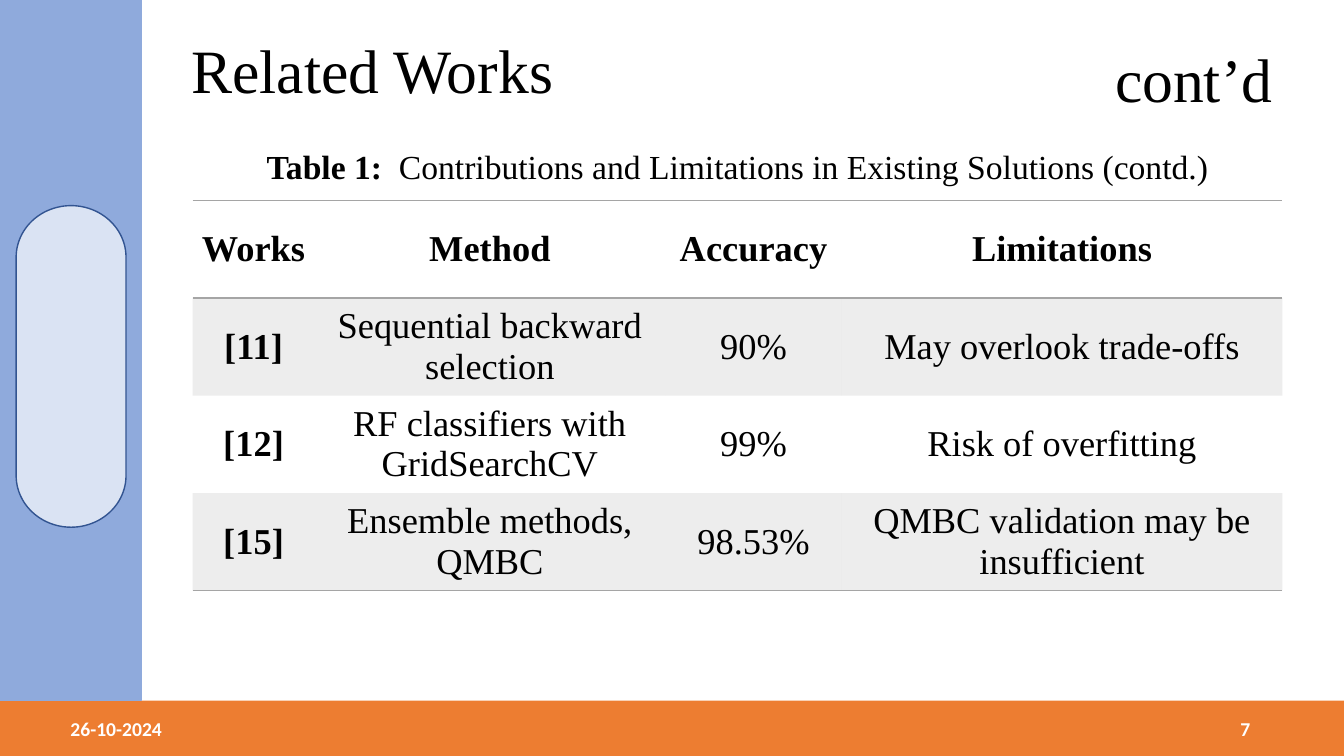
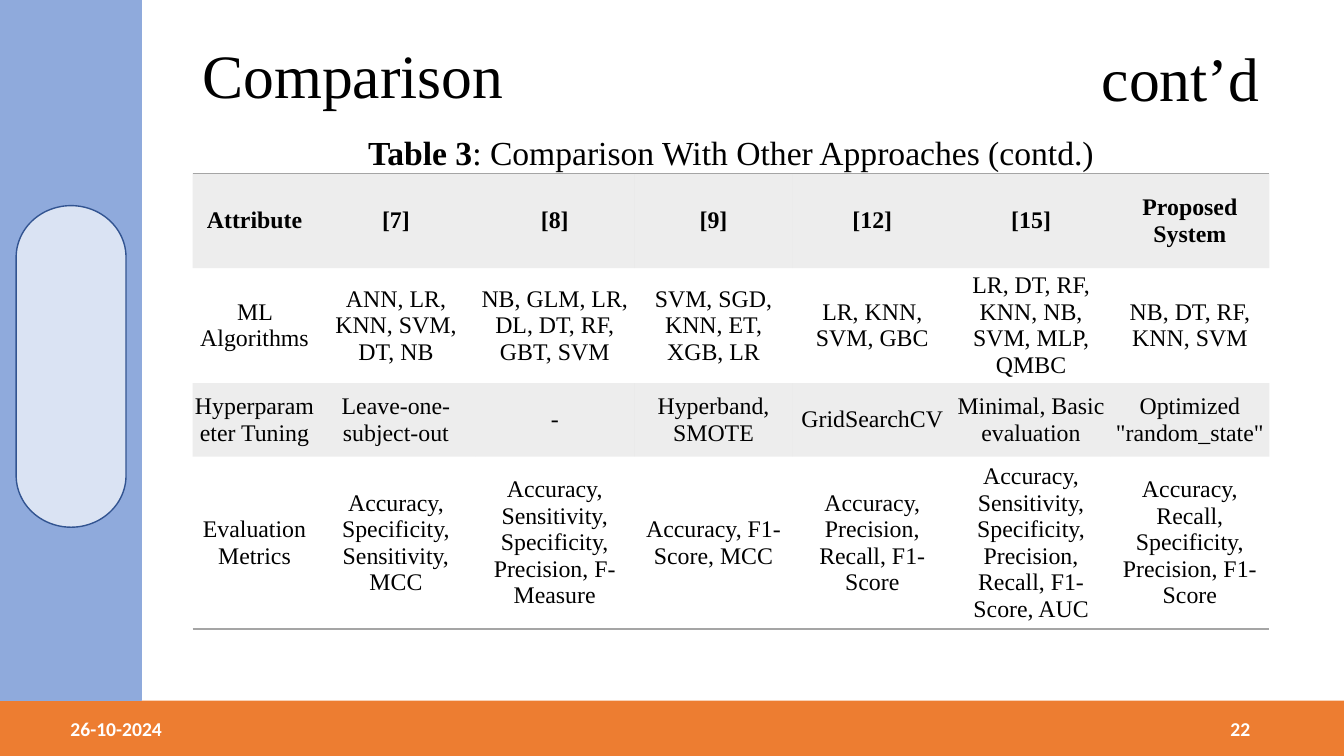
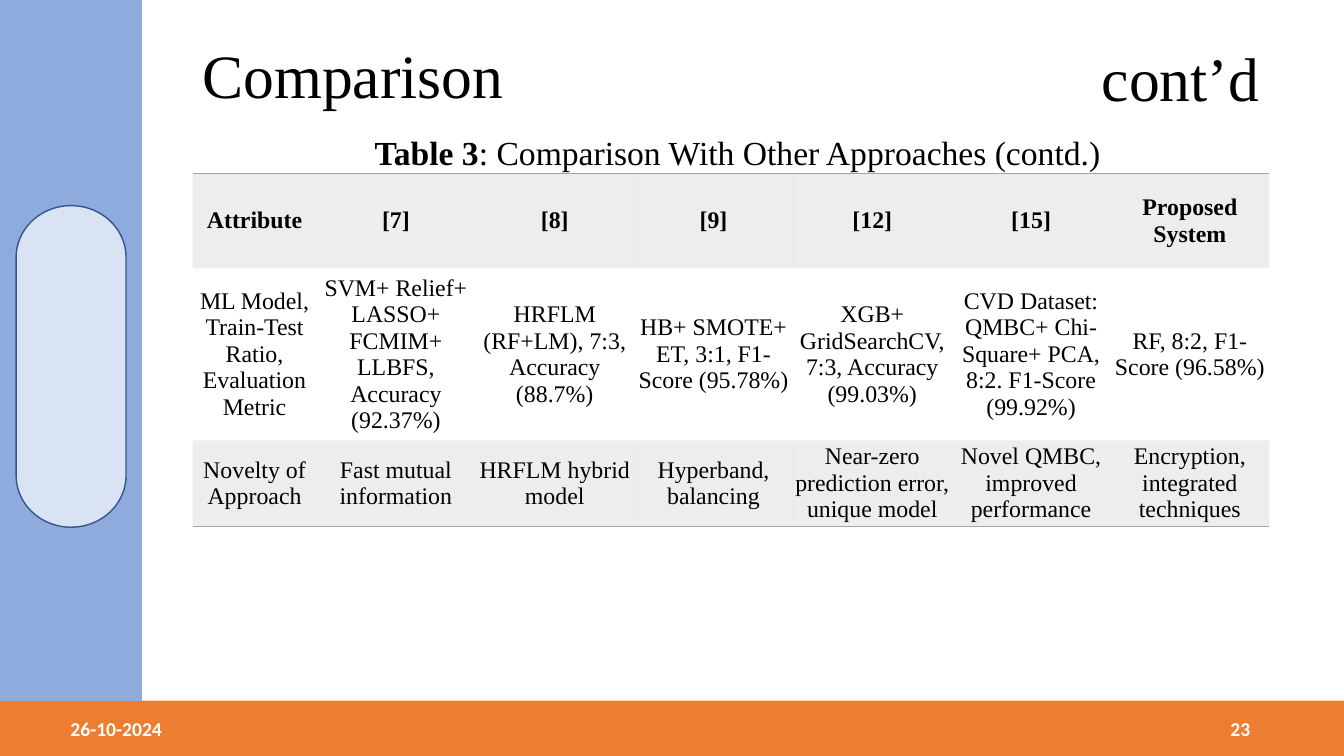
from lxml.etree import SubElement
from pptx import Presentation
from pptx.dml.color import RGBColor
from pptx.enum.shapes import MSO_SHAPE
from pptx.enum.text import MSO_ANCHOR, MSO_AUTO_SIZE, PP_ALIGN
from pptx.oxml.ns import qn
from pptx.util import Inches, Pt

# Shared style
WIDTH, HEIGHT = 13.33, 7.5
FOOTER_TOP, SIDEBAR = 6.95, 1.4
LEFT = 1.91
SERIF, SANS = "Times New Roman", "Calibri"
BLACK, WHITE, GREY = "000000", "FFFFFF", "A5A5A5"
ORANGE, BLUE, PALE_BLUE, DARK_BLUE = "ED7D31", "8FAADC", "DAE3F3", "325491"
DATE = "26-10-2024"
NO_MARGINS = (0, 0)

# Content shared by the two comparison slides
COMPARISON = {
    "title": "Comparison", "title_at": (LEFT, 0.05, 9.32, 1.45),
    "continued_at": (9.61, 0.35, 2.98, 0.84),
    "caption": ("Table 3", ": Comparison With Other Approaches (contd.)"),
    "table_top": 1.72, "columns": [1.23] + [1.575] * 6,
    "size": 17, "bold_column": False, "first_band": 0, "header_line": False,
    "header_margins": NO_MARGINS, "body_margins": NO_MARGINS,
}
COMPARISON_HEADER = ["Attribute", "[7]", "[8]", "[9]", "[12]", "[15]", "Proposed System"]

SLIDES = [
    {
        "number": 7,
        "title": "Related Works", "title_at": (1.8, 0, 5.51, 1.45),
        "continued_at": (9.74, 0.36, 2.98, 0.84),
        "caption": ("Table 1: ", " Contributions and Limitations in Existing Solutions (contd.)"),
        "caption_at": (LEFT, 1.2, 10.81, 0.63),
        "table_top": 1.99, "columns": [1.21, 3.48, 1.75, 4.37], "heights": [0.967] * 4,
        "size": 26, "bold_column": True, "first_band": 1, "header_line": True,
        "header_margins": (0.07, 0), "body_margins": (0.1, 0.05),
        "rows": [
            ["Works", "Method", "Accuracy", "Limitations"],
            ["[11]", "Sequential backward selection", "90%", "May overlook trade-offs"],
            ["[12]", "RF classifiers with GridSearchCV", "99%", "Risk of overfitting"],
            ["[15]", "Ensemble methods, QMBC", "98.53%",
             "QMBC validation may be insufficient"],
        ],
    },
    {
        **COMPARISON,
        "number": 22,
        "caption_at": (LEFT, 1.06, 10.68, 0.63),
        "heights": [0.94, 1.14, 0.73, 1.71],
        "rows": [
            COMPARISON_HEADER,
            ["ML Algorithms", "ANN, LR, KNN, SVM, DT, NB", "NB, GLM, LR, DL, DT, RF, GBT, SVM",
             "SVM, SGD, KNN, ET, XGB, LR", "LR, KNN, SVM, GBC",
             "LR, DT, RF, KNN, NB, SVM, MLP, QMBC", "NB, DT, RF, KNN, SVM"],
            ["Hyperparameter Tuning", "Leave-one-subject-out", "-", "Hyperband, SMOTE",
             "GridSearchCV", "Minimal, Basic evaluation", 'Optimized "random_state"'],
            ["Evaluation Metrics", "Accuracy, Specificity, Sensitivity, MCC",
             "Accuracy, Sensitivity, Specificity, Precision, F-Measure",
             "Accuracy, F1-Score, MCC", "Accuracy, Precision, Recall, F1-Score",
             "Accuracy, Sensitivity, Specificity, Precision, Recall, F1-Score, AUC",
             "Accuracy, Recall, Specificity, Precision, F1-Score"],
        ],
    },
    {
        **COMPARISON,
        "number": 23,
        "caption_at": (LEFT, 1.06, 10.81, 0.63),
        "heights": [0.94, 1.71, 0.85],
        "rows": [
            COMPARISON_HEADER,
            ["ML Model, Train-Test Ratio, Evaluation Metric",
             "SVM+ Relief+ LASSO+ FCMIM+ LLBFS, Accuracy (92.37%)",
             "HRFLM (RF+LM), 7:3, Accuracy (88.7%)", "HB+ SMOTE+ ET, 3:1, F1-Score (95.78%)",
             "XGB+ GridSearchCV, 7:3, Accuracy (99.03%)",
             "CVD Dataset: QMBC+ Chi-Square+ PCA, 8:2. F1-Score (99.92%)",
             "RF, 8:2, F1-Score (96.58%)"],
            ["Novelty of Approach", "Fast mutual information", "HRFLM hybrid model",
             "Hyperband, balancing", "Near-zero prediction error, unique model",
             "Novel QMBC, improved performance", "Encryption, integrated techniques"],
        ],
    },
]


def color(value):
    return RGBColor.from_string(value)


def place(at):
    return [Inches(length) for length in at]


def style(span, size, bold=False, font=SERIF, ink=BLACK):
    span.font.name, span.font.size, span.font.bold = font, Pt(size), bold
    span.font.color.rgb = color(ink)


def add_block(page, kind, at, fill, line=None):
    block = page.shapes.add_shape(kind, *place(at))
    block.shadow.inherit = False
    block.fill.solid()
    block.fill.fore_color.rgb = color(fill)
    if line:
        block.line.color.rgb = color(line)
        block.line.width = Pt(1)
    else:
        block.line.fill.background()
    return block


def add_text(page, at, parts, size, align=PP_ALIGN.LEFT, anchor=MSO_ANCHOR.MIDDLE, **look):
    """Add one paragraph made of (text, bold) parts and return it."""
    frame = page.shapes.add_textbox(*place(at)).text_frame
    frame.word_wrap = True
    frame.auto_size = MSO_AUTO_SIZE.NONE
    frame.vertical_anchor = anchor
    para = frame.paragraphs[0]
    para.alignment = align
    for text, bold in parts:
        span = para.add_run()
        span.text = text
        style(span, size, bold, **look)
    return para


def add_frame(page, number):
    """Draw the footer band, the sidebar, the date and the slide number."""
    add_block(page, MSO_SHAPE.RECTANGLE, (0, FOOTER_TOP, WIDTH, HEIGHT - FOOTER_TOP), ORANGE)
    add_block(page, MSO_SHAPE.RECTANGLE, (0, 0, SIDEBAR, FOOTER_TOP), BLUE, BLUE)
    pill = add_block(page, MSO_SHAPE.FLOWCHART_TERMINATOR, (-0.89, 3.09, 3.19, 1.09),
                     PALE_BLUE, DARK_BLUE)
    pill.rotation = 90
    for left, text, align in ((0.6, DATE, PP_ALIGN.LEFT), (9.5, str(number), PP_ALIGN.RIGHT)):
        add_text(page, (left, 7.03, 3, 0.4), [(text, True)], 14, align, font=SANS, ink=WHITE)


def draw_borders(cell, ruled):
    """Rule the named sides in grey and clear the others."""
    properties = cell._tc.get_or_add_tcPr()
    for side in ("lnL", "lnR", "lnT", "lnB"):
        line = SubElement(properties, qn("a:" + side), w=str(Pt(1)))
        if side in ruled:
            fill = SubElement(line, qn("a:solidFill"))
            SubElement(fill, qn("a:srgbClr"), val=GREY)
        else:
            SubElement(line, qn("a:noFill"))


def fill_band(cell, banded):
    if not banded:
        cell.fill.background()
        return
    cell.fill.solid()
    cell.fill.fore_color.rgb = color(GREY)
    tint = cell._tc.tcPr.find(qn("a:solidFill")).find(qn("a:srgbClr"))
    SubElement(tint, qn("a:alpha"), val="20000")


def add_grid(page, slide):
    rows, columns, heights = slide["rows"], slide["columns"], slide["heights"]
    at = (LEFT, slide["table_top"], sum(columns), sum(heights))
    table = page.shapes.add_table(len(rows), len(columns), *place(at)).table
    table.first_row = table.horz_banding = False
    for column, width in zip(table.columns, columns):
        column.width = Inches(width)
    for r, texts in enumerate(rows):
        table.rows[r].height = Inches(heights[r])
        header = r == 0
        ruled = set()
        if header:
            ruled.add("lnT")
        if r == len(rows) - 1 or header and slide["header_line"]:
            ruled.add("lnB")
        if r == 1 and slide["header_line"]:
            ruled.add("lnT")
        side, end = slide["header_margins" if header else "body_margins"]
        for c, text in enumerate(texts):
            cell = table.cell(r, c)
            cell.margin_left = cell.margin_right = Inches(side)
            cell.margin_top = cell.margin_bottom = Inches(end)
            cell.vertical_anchor = MSO_ANCHOR.MIDDLE
            draw_borders(cell, ruled)
            fill_band(cell, r % 2 == slide["first_band"])
            cell.text_frame.text = text
            para = cell.text_frame.paragraphs[0]
            para.alignment = PP_ALIGN.CENTER
            style(para.runs[0], slide["size"], header or slide["bold_column"] and c == 0)


def add_slide(deck, slide):
    page = deck.slides.add_slide(deck.slide_layouts[6])
    add_frame(page, slide["number"])
    # Title and its continuation mark
    title = add_text(page, slide["title_at"], [(slide["title"], False)], 44)
    title.line_spacing = 0.9
    add_text(page, slide["continued_at"], [("cont’d", False)], 44,
             PP_ALIGN.RIGHT, MSO_ANCHOR.TOP)
    # Table and caption
    add_grid(page, slide)
    label, wording = slide["caption"]
    caption = add_text(page, slide["caption_at"], [(label, True), (wording, False)], 24,
                       PP_ALIGN.CENTER, MSO_ANCHOR.TOP)
    caption.line_spacing = 1.5
    caption.space_after = Pt(12)


def main():
    deck = Presentation()
    deck.slide_width, deck.slide_height = Inches(WIDTH), Inches(HEIGHT)
    for slide in SLIDES:
        add_slide(deck, slide)
    deck.save("out.pptx")


if __name__ == "__main__":
    main()
